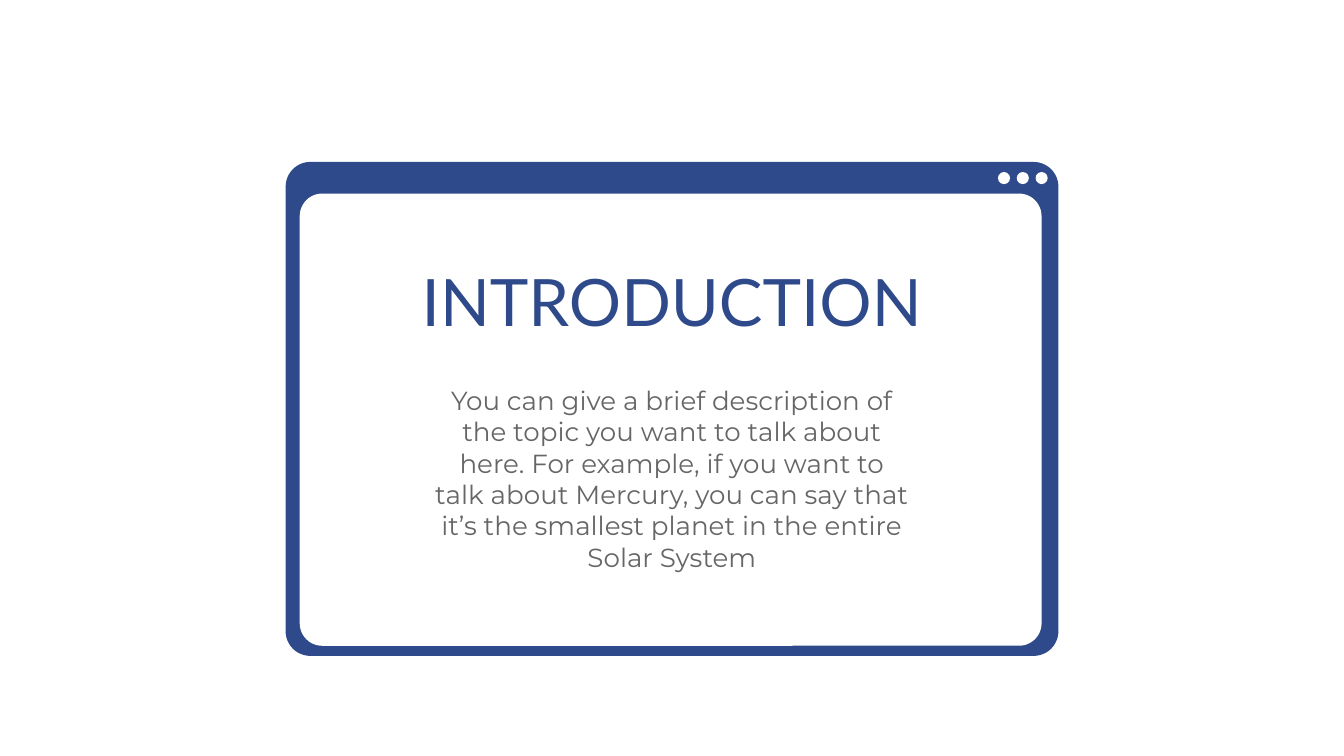
from pptx import Presentation
from pptx.dml.color import RGBColor
from pptx.enum.shapes import MSO_SHAPE
from pptx.enum.text import MSO_ANCHOR, MSO_AUTO_SIZE, PP_ALIGN
from pptx.util import Pt

ROUND, OVAL = MSO_SHAPE.ROUNDED_RECTANGLE, MSO_SHAPE.OVAL
TOP, BOTTOM = MSO_ANCHOR.TOP, MSO_ANCHOR.BOTTOM
CENTER, FIXED = PP_ALIGN.CENTER, MSO_AUTO_SIZE.NONE
PX = 4572  # 200 px to the inch

THEME = {
    "blue": RGBColor(0x2F, 0x4A, 0x8A),
    "white": RGBColor(0xFF, 0xFF, 0xFF),
    "gray": RGBColor(0x66, 0x66, 0x66),
    "head": ("Lato", Pt(35)),
    "body": ("Montserrat", Pt(14)),
}


def draw(kind, box, color):
    shape = slide.shapes.add_shape(kind, *[n * PX for n in box])
    shape.shadow.inherit = False
    shape.fill.solid()
    shape.fill.fore_color.rgb = THEME[color]
    shape.line.fill.background()
    return shape


def write(shape, text, style, color, anchor):
    frame = shape.text_frame
    frame.text = text
    frame.word_wrap = True
    frame.auto_size = FIXED
    frame.vertical_anchor = anchor
    frame.margin_left = frame.margin_right = 20 * PX
    frame.margin_top = frame.margin_bottom = 20 * PX
    para = frame.paragraphs[0]
    para.alignment = CENTER
    font = para.runs[0].font
    font.name, font.size = THEME[style]
    font.color.rgb = THEME[color]


deck = Presentation()
deck.slide_width, deck.slide_height = 2000 * PX, 1125 * PX
slide = deck.slides.add_slide(deck.slide_layouts[5])

# Browser window: frame and pane
frame = draw(ROUND, (425, 241, 1150, 735), "blue")
pane = draw(ROUND, (446, 288, 1104, 673), "white")
for part in (frame, pane):
    part.adjustments[0] = 0.05

# Window buttons
for i in range(3):
    draw(OVAL, (485 + 1000 + 28 * i, 256, 18, 18), "white")

# Title, brought in front of the window
title = slide.shapes.title
title.left, title.top, title.width, title.height = [
    n * PX for n in (536, 340, 928, 186)]
write(title, "INTRODUCTION", "head", "blue", BOTTOM)
title.element.getparent().append(title.element)

# Description
note = slide.shapes.add_textbox(*[n * PX for n in (626, 552, 748, 326)])
write(note, "You can give a brief description of the topic you want to talk "
      "about here. For example, if you want to talk about Mercury, you can "
      "say that it’s the smallest planet in the entire Solar System",
      "body", "gray", TOP)

deck.save("out.pptx")
